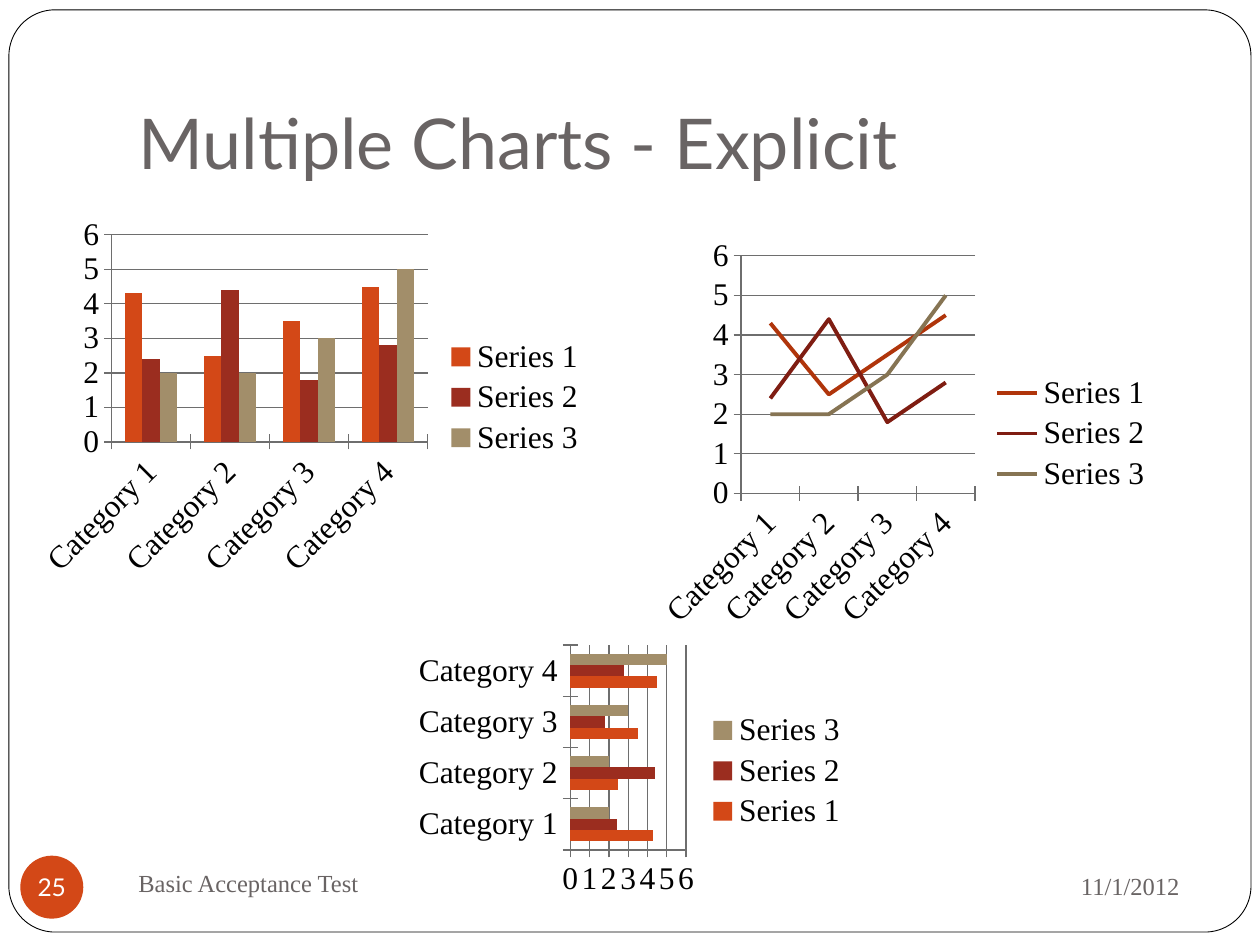
"""Build a slide that shows the same data as a line, a column and a bar chart."""
import pptx
import pptx.chart.data
import pptx.dml.color
import pptx.enum.chart
import pptx.enum.shapes
import pptx.enum.text
import pptx.util

Cm = pptx.util.Cm
Pt = pptx.util.Pt
RGBColor = pptx.dml.color.RGBColor
ChartType = pptx.enum.chart.XL_CHART_TYPE
ShapeType = pptx.enum.shapes.MSO_SHAPE
Align = pptx.enum.text.PP_ALIGN
Anchor = pptx.enum.text.MSO_ANCHOR

BLACK = RGBColor(0x00, 0x00, 0x00)
WHITE = RGBColor(0xFF, 0xFF, 0xFF)
GRAY = RGBColor(0x69, 0x64, 0x64)
GRID = RGBColor(0x6E, 0x6E, 0x6E)
ORANGE = RGBColor(0xD3, 0x48, 0x17)
FILL_COLORS = [ORANGE, RGBColor(0x9B, 0x2D, 0x1F), RGBColor(0xA2, 0x8E, 0x6A)]
LINE_COLORS = [
    RGBColor(0xB0, 0x35, 0x0B),
    RGBColor(0x7F, 0x1D, 0x12),
    RGBColor(0x86, 0x74, 0x53),
]

SANS = "Lato"
SERIF = "Times New Roman"
CATEGORIES = [f"Category {number}" for number in range(1, 5)]
SERIES = {
    "Series 1": (4.3, 2.5, 3.5, 4.5),
    "Series 2": (2.4, 4.4, 1.8, 2.8),
    "Series 3": (2, 2, 3, 5),
}
CHARTS = [
    (ChartType.LINE, (13.13, 4.65, 10.36, 8.18)),
    (ChartType.COLUMN_CLUSTERED, (0.64, 4.24, 11.43, 7.54)),
    (ChartType.BAR_CLUSTERED, (8.26, 12.9, 9.09, 5.28)),
]


def set_attributes(target, values):
    """Set every named value on the target."""
    for name, value in values.items():
        setattr(target, name, value)


def box(lengths):
    """Turn left, top, width and height in centimetres into lengths."""
    return [Cm(length) for length in lengths]


def set_font(font, name, size, color):
    """Give a font its face, size and colour."""
    set_attributes(font, {"name": name, "size": Pt(size)})
    font.color.rgb = color


def write_text(shape, text, font, align=Align.LEFT, **frame_values):
    """Write one formatted paragraph into a shape."""
    frame = shape.text_frame
    set_attributes(frame, {"word_wrap": True, "vertical_anchor": Anchor.MIDDLE, **frame_values})
    paragraph = frame.paragraphs[0]
    paragraph.alignment = align
    run = paragraph.add_run()
    run.text = text
    set_font(run.font, *font)


def add_text(slide, lengths, *content, **frame_values):
    """Add a text box."""
    write_text(slide.shapes.add_textbox(*box(lengths)), *content, **frame_values)


def add_shape(slide, kind, lengths, fill, line=None):
    """Add a filled preset shape with an optional thin outline."""
    shape = slide.shapes.add_shape(kind, *box(lengths))
    shape.shadow.inherit = False
    shape.fill.solid()
    shape.fill.fore_color.rgb = fill
    if line is None:
        shape.line.fill.background()
    else:
        shape.line.color.rgb = line
        shape.line.width = Pt(0.5)
    return shape


def format_axis(axis, gridlines):
    """Style an axis line, its ticks and its gridlines."""
    set_attributes(axis, {
        "has_major_gridlines": gridlines,
        "major_tick_mark": pptx.enum.chart.XL_TICK_MARK.CROSS,
    })
    lines = [axis.format.line]
    if gridlines:
        lines.append(axis.major_gridlines.format.line)
    for line in lines:
        line.color.rgb = GRID
        line.width = Pt(0.75)


def add_chart(slide, kind, lengths):
    """Add one chart of the shared data with a legend on the right."""
    data = pptx.chart.data.CategoryChartData()
    data.categories = CATEGORIES
    for name, values in SERIES.items():
        data.add_series(name, values)
    chart = slide.shapes.add_chart(kind, *box(lengths), data).chart
    set_attributes(chart, {"has_title": False, "has_legend": True})
    set_attributes(chart.legend, {
        "position": pptx.enum.chart.XL_LEGEND_POSITION.RIGHT,
        "include_in_layout": False,
    })
    set_font(chart.font, SERIF, 18, BLACK)
    format_axis(chart.category_axis, False)
    format_axis(chart.value_axis, True)
    plot = chart.plots[0]
    plot.vary_by_categories = False
    if kind == ChartType.LINE:
        for series, color in zip(plot.series, LINE_COLORS):
            series.smooth = False
            series.format.line.color.rgb = color
            series.format.line.width = Pt(2.25)
    else:
        plot.gap_width = 150
        for series, color in zip(plot.series, FILL_COLORS):
            series.format.fill.solid()
            series.format.fill.fore_color.rgb = color


def main():
    """Build the slide and save it."""
    presentation = pptx.Presentation()
    set_attributes(presentation, {"slide_width": Cm(25.4), "slide_height": Cm(19.05)})
    slide = presentation.slides.add_slide(presentation.slide_layouts[6])

    frame = add_shape(slide, ShapeType.ROUNDED_RECTANGLE, (0.18, 0.2, 25.04, 18.59), WHITE, BLACK)
    frame.adjustments[0] = 0.05
    add_text(slide, (2.54, 0.76, 21.59, 3.18), "Multiple Charts - Explicit", (SANS, 40, GRAY),
             vertical_anchor=Anchor.BOTTOM, margin_bottom=Cm(0.25))
    small_serif = (SERIF, 14, GRAY)
    add_text(slide, (17.15, 17.2, 6.88, 1.32), "11/1/2012", small_serif, Align.RIGHT)
    add_text(slide, (2.54, 17.15, 11, 1.27), "Basic Acceptance Test", small_serif)
    badge = add_shape(slide, ShapeType.OVAL, (0.41, 17.25, 1.27, 1.27), ORANGE)
    margins = {f"margin_{side}": 0 for side in ("left", "top", "right", "bottom")}
    write_text(badge, "25", (SANS, 14, WHITE), Align.CENTER, **{**margins, "word_wrap": False})
    for kind, lengths in CHARTS:
        add_chart(slide, kind, lengths)
    presentation.save("out.pptx")


if __name__ == "__main__":
    main()
